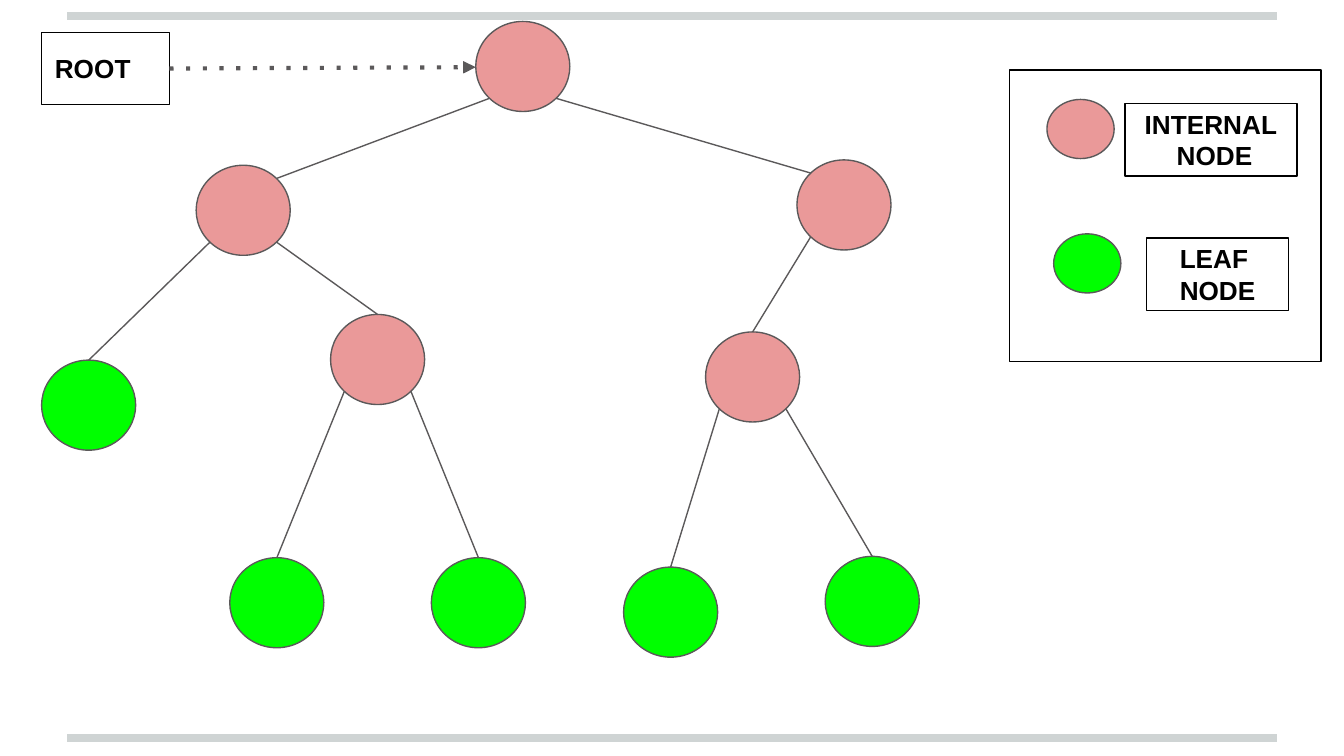
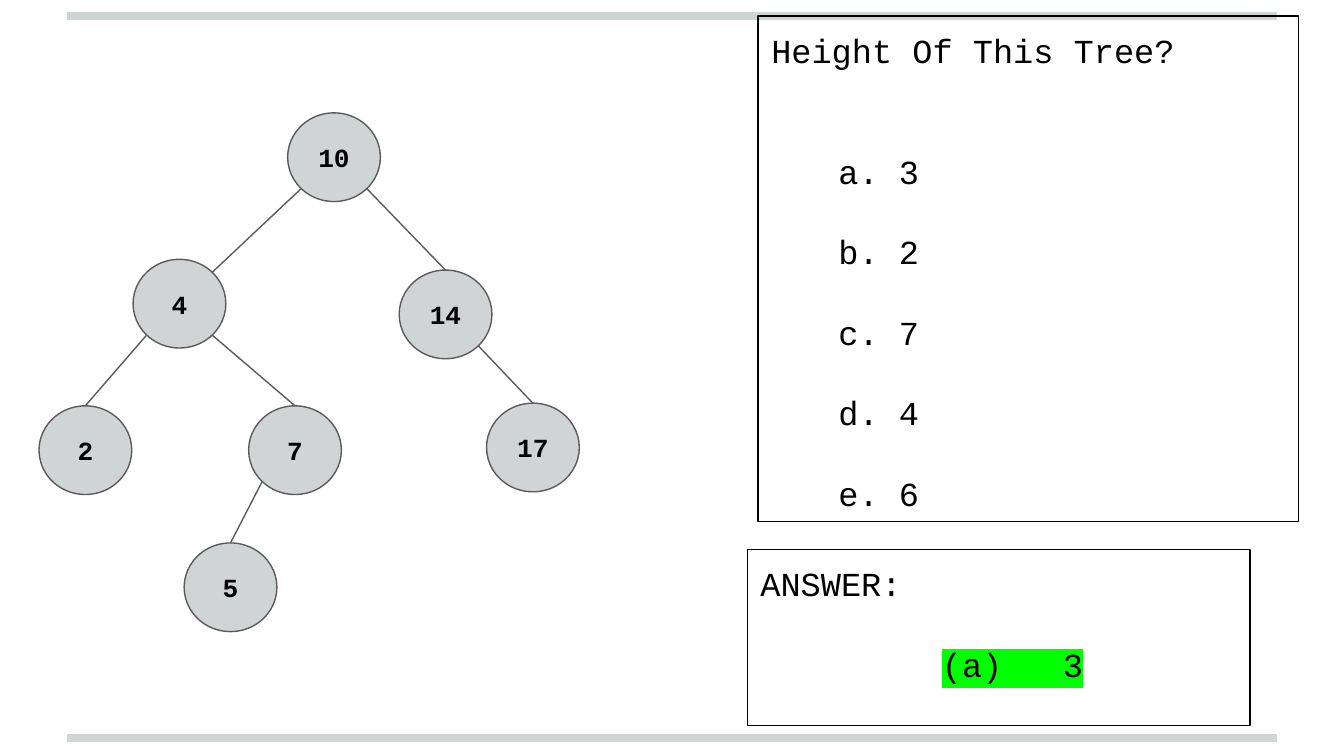
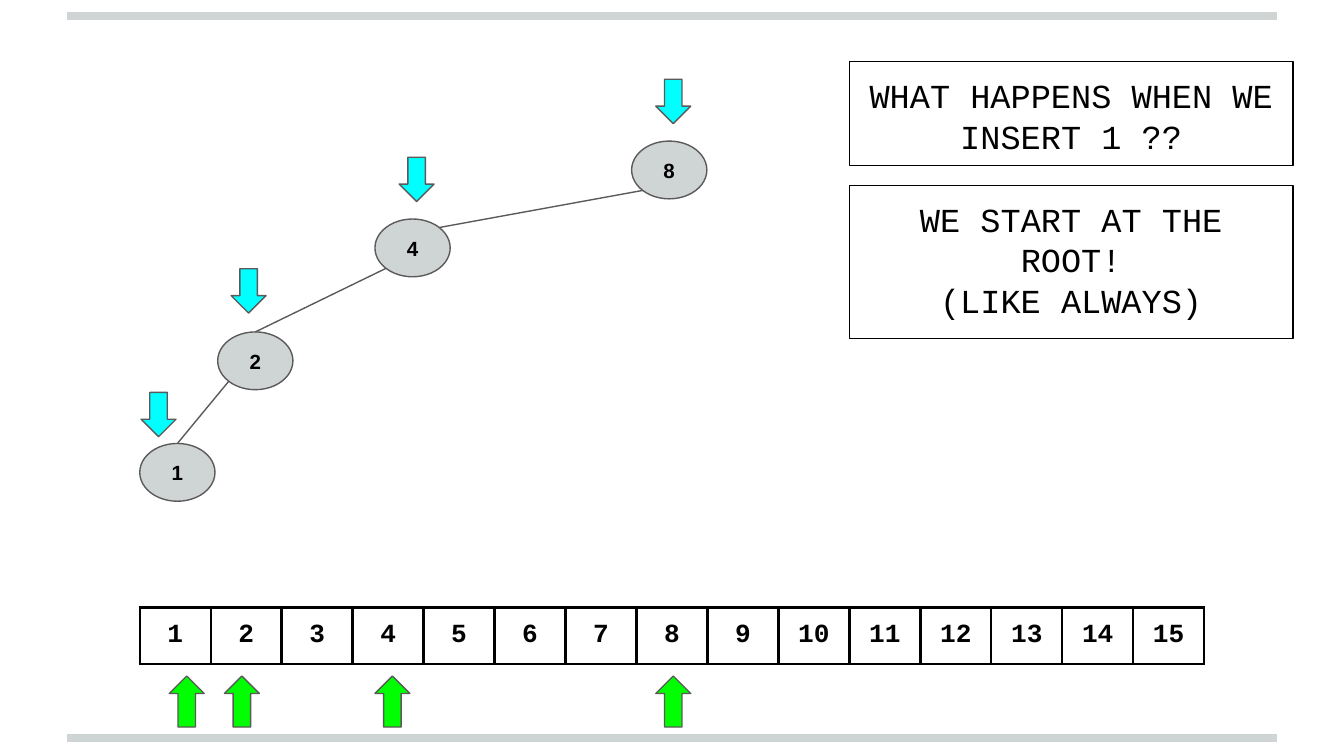
from dataclasses import dataclass
from math import sqrt

from lxml.etree import SubElement
from pptx import Presentation
from pptx.dml.color import RGBColor
from pptx.enum.shapes import MSO_CONNECTOR, MSO_SHAPE
from pptx.enum.text import MSO_ANCHOR, PP_ALIGN
from pptx.oxml.ns import qn
from pptx.util import Inches, Pt


@dataclass(frozen=True)
class Theme:
    black: str = "000000"
    outline: str = "5B595A"
    gray: str = "CFD4D4"
    pink: str = "EA9999"
    green: str = "00FF00"
    cyan: str = "00FFFF"
    sans: str = "Arial"
    mono: str = "Courier New"
    small: int = 11
    label: int = 14
    body: int = 18
    thin: float = 0.75
    margin: float = 0.1
    blank_line: float = 21.6


THEME = Theme()


def add_box(slide, kind, frame, fill=None, border=THEME.outline, lines=(), font=THEME.sans,
            size=THEME.label, bold=False, align=PP_ALIGN.CENTER, anchor=MSO_ANCHOR.MIDDLE):
    """Add a preset shape; frame is left, top, width, height in inches."""
    box = slide.shapes.add_shape(kind, *map(Inches, frame))
    box.shadow.inherit = False
    if fill:
        box.fill.solid()
        box.fill.fore_color.rgb = RGBColor.from_string(fill)
    else:
        box.fill.background()
    box.line.color.rgb = RGBColor.from_string(border)
    box.line.width = Pt(THEME.thin)
    text_frame = box.text_frame
    text_frame.word_wrap = True
    text_frame.vertical_anchor = anchor
    text_frame.margin_left = text_frame.margin_right = Inches(THEME.margin)
    text_frame.margin_top = text_frame.margin_bottom = Inches(THEME.margin)
    text_frame.text = "\n".join(lines)
    for para in text_frame.paragraphs:
        para.alignment = align
        for span in para.runs:
            span.font.name, span.font.size, span.font.bold = font, Pt(size), bold
            span.font.color.rgb = RGBColor.from_string(THEME.black)
    return box


def add_line(slide, start, end, color=THEME.outline, width=THEME.thin):
    line = slide.shapes.add_connector(MSO_CONNECTOR.STRAIGHT, *map(Inches, (*start, *end)))
    line.line.color.rgb = RGBColor.from_string(color)
    line.line.width = Pt(width)
    SubElement(line.element.spPr, qn("a:effectLst"))
    return line


deck = Presentation()
deck.slide_width = Inches(10)
deck.slide_height = deck.slide_width * 9 // 16
layout = deck.slide_layouts[6]
for placeholder in list(layout.placeholders):
    placeholder.element.getparent().remove(placeholder.element)
parts_slide, height_slide, insert_slide = [deck.slides.add_slide(layout) for _ in range(3)]

# Bands above and below, shared through the layout
bands = [add_line(parts_slide, (0.5, y), (9.5, y), THEME.gray, 4) for y in (5.49, 0.12)]
for band in bands:
    layout.shapes.element.append(band.element)

# Trees: node name -> left, top, fill, parent, where the link meets the node
parts_tree = {
    "root": (3.54, 0.16, THEME.pink, None, None),
    "left": (1.46, 1.23, THEME.pink, "root", "corner"),
    "right": (5.93, 1.19, THEME.pink, "root", "corner"),
    "left leaf": (0.31, 2.68, THEME.green, "left", "top"),
    "left inner": (2.46, 2.34, THEME.pink, "left", "top"),
    "right inner": (5.25, 2.47, THEME.pink, "right", "top"),
    "leaf 1": (1.71, 4.15, THEME.green, "left inner", "top"),
    "leaf 2": (3.21, 4.15, THEME.green, "left inner", "top"),
    "leaf 3": (4.64, 4.22, THEME.green, "right inner", "top"),
    "leaf 4": (6.14, 4.14, THEME.green, "right inner", "top"),
}
height_tree = {
    "10": (2.14, 0.84, THEME.gray, None, None),
    "4": (0.99, 1.93, THEME.gray, "10", "corner"),
    "14": (2.97, 2.01, THEME.gray, "10", "top"),
    "2": (0.29, 3.02, THEME.gray, "4", "top"),
    "7": (1.85, 3.02, THEME.gray, "4", "top"),
    "17": (3.62, 3, THEME.gray, "14", "top"),
    "5": (1.37, 4.04, THEME.gray, "7", "top"),
}
insert_tree = {
    "8": (4.7, 1.05, THEME.gray, None, None),
    "4": (2.79, 1.63, THEME.gray, "8", "corner"),
    "2": (1.62, 2.47, THEME.gray, "4", "top"),
    "1": (1.04, 3.3, THEME.gray, "2", "top"),
}
trees = [
    (parts_slide, parts_tree, 0.7, 0.67, False, THEME.sans, THEME.label),
    (height_slide, height_tree, 0.69, 0.66, True, THEME.mono, THEME.label),
    (insert_slide, insert_tree, 0.56, 0.43, True, THEME.sans, THEME.small),
]
for slide, tree, width, height, labelled, font, size in trees:
    corner_x, corner_y = width / sqrt(8), height / sqrt(8)
    for name, (left, top, fill, parent, meeting) in tree.items():
        node = add_box(slide, MSO_SHAPE.OVAL, (left, top, width, height), fill,
                       lines=[name] if labelled else (), font=font, size=size, bold=True)
        if parent is None:
            continue
        parent_left, parent_top = tree[parent][:2]
        side = 1 if left > parent_left else -1
        start = (parent_left + width / 2 + side * corner_x, parent_top + height / 2 + corner_y)
        if meeting == "top":
            link = add_line(slide, start, (left + width / 2, top))
            link.end_connect(node, 0)
        else:
            add_line(slide, start, (left + width / 2 - side * corner_x,
                                    top + height / 2 - corner_y))

# Slide 1: legend and root pointer
add_box(parts_slide, MSO_SHAPE.RECTANGLE, (7.51, 0.52, 2.32, 2.17), border=THEME.black)
legend = [
    ((7.79, 0.74), THEME.pink, (8.37, 0.77, 1.28, 0.54), ["INTERNAL", " NODE"]),
    ((7.84, 1.74), THEME.green, (8.53, 1.77, 1.06, 0.54), ["LEAF ", "NODE"]),
]
for corner, fill, frame, lines in legend:
    add_box(parts_slide, MSO_SHAPE.OVAL, (*corner, 0.5, 0.44), fill)
    add_box(parts_slide, MSO_SHAPE.RECTANGLE, frame, border=THEME.black, lines=lines, bold=True)
root_label = add_box(parts_slide, MSO_SHAPE.RECTANGLE, (0.31, 0.24, 0.95, 0.54),
                     border=THEME.black, lines=["ROOT"], bold=True, align=PP_ALIGN.LEFT)
pointer = add_line(parts_slide, (1.26, 0.51), (3.54, 0.5), width=2.25)
pointer.begin_connect(root_label, 3)
outline = pointer.get_or_add_ln()
SubElement(outline, qn("a:prstDash"), val="dot")
SubElement(outline, qn("a:tailEnd"), type="triangle")

# Slide 2: question and answer
question = add_box(height_slide, MSO_SHAPE.RECTANGLE, (5.64, 0.12, 4.02, 3.76),
                   border=THEME.black, font=THEME.mono, size=THEME.body,
                   lines=["Height Of This Tree?", "a. 3", "b. 2", "c. 7", "d. 4", "e. 6"],
                   align=PP_ALIGN.LEFT, anchor=MSO_ANCHOR.TOP)
options = question.text_frame.paragraphs[1:]
for option in options:
    option.space_before = Pt(THEME.blank_line)
    option._p.get_or_add_pPr().set("marL", str(Inches(0.5)))
options[0].space_before = Pt(2 * THEME.blank_line)

answer = add_box(height_slide, MSO_SHAPE.RECTANGLE, (5.56, 4.09, 3.74, 1.31),
                 border=THEME.black, font=THEME.mono, size=THEME.body,
                 lines=["ANSWER:", "(a)   3"], align=PP_ALIGN.LEFT, anchor=MSO_ANCHOR.TOP)
solution = answer.text_frame.paragraphs[1]
solution.space_before = Pt(THEME.blank_line)
solution._p.get_or_add_pPr().set("marL", str(Inches(1.35)))
properties = solution.runs[0].font._element
highlight = SubElement(properties, qn("a:highlight"))
SubElement(highlight, qn("a:srgbClr"), val=THEME.green)
properties.find(qn("a:solidFill")).addnext(highlight)

# Slide 3: captions, step arrows and number row
captions = [
    (0.46, 0.77, ["WHAT HAPPENS WHEN WE INSERT 1 ??"]),
    (1.38, 1.14, ["WE START AT THE ROOT!", "(LIKE ALWAYS)"]),
]
for top, height, lines in captions:
    add_box(insert_slide, MSO_SHAPE.RECTANGLE, (6.32, top, 3.3, height), border=THEME.black,
            lines=lines, font=THEME.mono, size=THEME.body, anchor=MSO_ANCHOR.TOP)
for left, top in ((4.88, 0.59), (2.97, 1.17), (1.72, 2), (1.05, 2.92)):
    add_box(insert_slide, MSO_SHAPE.DOWN_ARROW, (left, top, 0.26, 0.33), THEME.cyan)
for left in (4.88, 2.79, 1.67, 1.26):
    add_box(insert_slide, MSO_SHAPE.UP_ARROW, (left, 5.03, 0.26, 0.38), THEME.green)

count = 15
table = insert_slide.shapes.add_table(1, count, Inches(1.04), Inches(4.52),
                                      Inches(7.92), Inches(0.42)).table
table.first_row = table.horz_banding = False
for number, cell in enumerate(table.rows[0].cells, start=1):
    cell.text = str(number)
    cell.margin_left = cell.margin_right = Inches(THEME.margin)
    cell.margin_top = cell.margin_bottom = Inches(THEME.margin)
    para = cell.text_frame.paragraphs[0]
    para.alignment = PP_ALIGN.CENTER
    font = para.runs[0].font
    font.name, font.size, font.bold = THEME.mono, Pt(THEME.label), True
    font.color.rgb = RGBColor.from_string(THEME.black)
    cell_properties = cell._tc.get_or_add_tcPr()
    for edge in ("a:lnL", "a:lnR", "a:lnT", "a:lnB"):
        border = SubElement(cell_properties, qn(edge), w=str(Pt(1.5)))
        SubElement(SubElement(border, qn("a:solidFill")), qn("a:srgbClr"), val=THEME.black)
    cell.fill.background()

deck.save("out.pptx")
